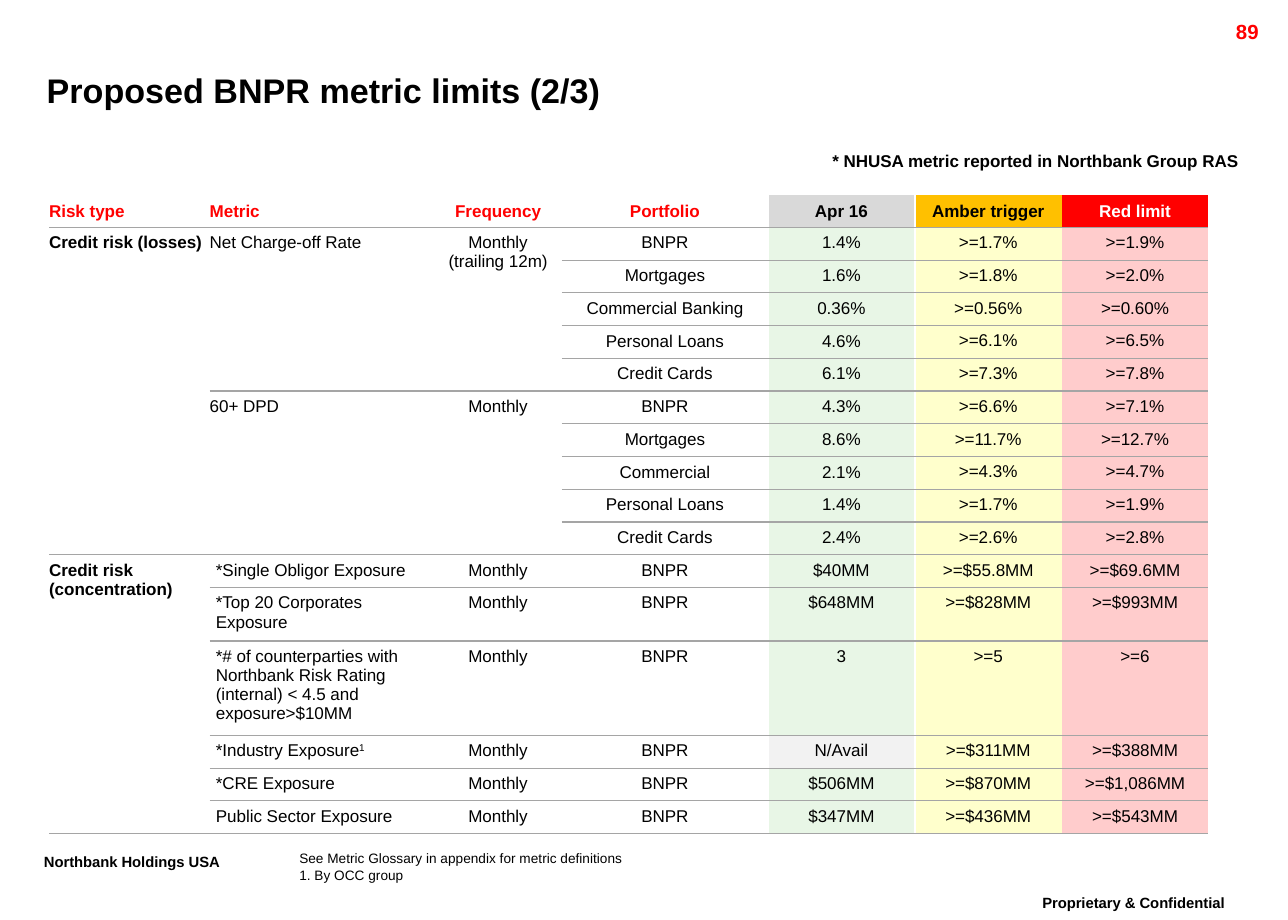
from dataclasses import dataclass

from lxml.etree import SubElement
from pptx import Presentation
from pptx.dml.color import RGBColor
from pptx.enum.text import MSO_ANCHOR, PP_ALIGN
from pptx.oxml.ns import qn
from pptx.util import Pt

COLORS = {
    "black": "000000", "white": "FFFFFF", "red": "FF0000", "amber": "FFC000",
    "silver": "D9D9D9", "rule": "A5A5A5", "green_tint": "E8F6E6",
    "yellow_tint": "FFFFCC", "red_tint": "FFCCCC", "grey_tint": "F2F2F2",
}
FONT = "Arial"
NO_STYLE = "{2D5ABB26-0587-4C30-8999-92F81FD0307C}"
TIGHT = 0.86
LEFT, CENTER, RIGHT = PP_ALIGN.LEFT, PP_ALIGN.CENTER, PP_ALIGN.RIGHT
TOP, MIDDLE, BOTTOM = MSO_ANCHOR.TOP, MSO_ANCHOR.MIDDLE, MSO_ANCHOR.BOTTOM


@dataclass
class Label:
    text: str
    left: float
    top: float
    width: float
    height: float
    size: float
    bold: bool = True
    color: str = "black"
    align: PP_ALIGN = LEFT
    anchor: MSO_ANCHOR = TOP
    spacing: float = 1.0
    inset: bool = True
    wrap: bool = True
    raised: bool = False


@dataclass
class Limit:
    portfolio: str
    actual: str
    amber: str
    red: str


@dataclass
class Metric:
    name: str
    frequency: str
    limits: list[Limit]
    height: float = 19.23
    note: str = ""


@dataclass
class Risk:
    name: str
    metrics: list[Metric]
    indent: float
    compact: bool


LABELS = [
    Label("Proprietary & Confidential", 586.8, 522, 157, 23, 15,
          align=CENTER, spacing=TIGHT, raised=True),
    Label("Northbank Holdings USA", 18.7, 497.5, 137.5, 23, 15,
          spacing=TIGHT, wrap=False, raised=True),
    Label("89", 673.9, 7.9, 72, 17.3, 12, color="red", align=RIGHT),
    Label("Proposed BNPR metric limits (2/3)", 27.4, 35.3, 682.6, 34.6, 20,
          anchor=MIDDLE, inset=False),
    Label("See Metric Glossary in appendix for metric definitions\n1. By OCC group",
          175.7, 499, 393.8, 19.4, 8, bold=False, inset=False),
    Label("* NHUSA metric reported in Northbank Group RAS", 480.5, 86.4, 254.2, 18, 10,
          align=CENTER, spacing=TIGHT, wrap=False),
]
WIDTHS = [94.3, 131.8, 74.9, 121, 86.2, 86.2, 86.2]
HEADINGS = [
    ("Risk type", "red", None), ("Metric", "red", None),
    ("Frequency", "red", None), ("Portfolio", "red", None),
    ("Apr 16", "black", "silver"), ("Amber trigger", "black", "amber"),
    ("Red limit", "white", "red"),
]
RISKS = [
    Risk("Credit risk (losses)", [
        Metric("Net Charge-off Rate", "Monthly\n(trailing 12m)", [
            Limit("BNPR", "1.4%", ">=1.7%", ">=1.9%"),
            Limit("Mortgages", "1.6%", ">=1.8%", ">=2.0%"),
            Limit("Commercial Banking", "0.36%", ">=0.56%", ">=0.60%"),
            Limit("Personal Loans", "4.6%", ">=6.1%", ">=6.5%"),
            Limit("Credit Cards", "6.1%", ">=7.3%", ">=7.8%"),
        ]),
        Metric("60+ DPD", "Monthly", [
            Limit("BNPR", "4.3%", ">=6.6%", ">=7.1%"),
            Limit("Mortgages", "8.6%", ">=11.7%", ">=12.7%"),
            Limit("Commercial", "2.1%", ">=4.3%", ">=4.7%"),
            Limit("Personal Loans", "1.4%", ">=1.7%", ">=1.9%"),
            Limit("Credit Cards", "2.4%", ">=2.6%", ">=2.8%"),
        ]),
    ], indent=0, compact=True),
    Risk("Credit risk (concentration)", [
        Metric("*Single Obligor Exposure", "Monthly",
               [Limit("BNPR", "$40MM", ">=$55.8MM", ">=$69.6MM")]),
        Metric("*Top 20 Corporates Exposure", "Monthly",
               [Limit("BNPR", "$648MM", ">=$828MM", ">=$993MM")], height=31.4),
        Metric("*# of counterparties with Northbank Risk Rating (internal) < 4.5 "
               "and exposure>$10MM", "Monthly",
               [Limit("BNPR", "3", ">=5", ">=6")], height=55.4),
        Metric("*Industry Exposure", "Monthly",
               [Limit("BNPR", "N/Avail", ">=$311MM", ">=$388MM")], note="1"),
        Metric("*CRE Exposure", "Monthly",
               [Limit("BNPR", "$506MM", ">=$870MM", ">=$1,086MM")]),
        Metric("Public Sector Exposure", "Monthly",
               [Limit("BNPR", "$347MM", ">=$436MM", ">=$543MM")]),
    ], indent=3.6, compact=False),
]


def rgb(name: str) -> RGBColor:
    return RGBColor.from_string(COLORS[name])


def format_text(tf, size: float, bold: bool, color: str, align: PP_ALIGN, spacing: float) -> None:
    for p in tf.paragraphs:
        p.alignment, p.line_spacing = align, spacing
        for r in p.runs:
            r.font.name, r.font.size, r.font.bold = FONT, Pt(size), bold
            r.font.color.rgb = rgb(color)


def raise_run(r) -> None:
    r.font._element.set("baseline", "30000")


def add_label(slide, label: Label) -> None:
    sp = slide.shapes.add_textbox(Pt(label.left), Pt(label.top), Pt(label.width), Pt(label.height))
    tf = sp.text_frame
    tf.word_wrap, tf.vertical_anchor = label.wrap, label.anchor
    if not label.inset:
        tf.margin_left = tf.margin_right = tf.margin_top = tf.margin_bottom = 0
    tf.text = label.text
    format_text(tf, label.size, label.bold, label.color, label.align, label.spacing)
    if label.raised:
        raise_run(tf.paragraphs[0].runs[0])


def add_border(cell, side: str, color: str, width: float) -> None:
    ln = SubElement(cell._tc.get_or_add_tcPr(), qn(f"a:ln{side}"), w=str(Pt(width)))
    SubElement(SubElement(ln, qn("a:solidFill")), qn("a:srgbClr"), val=COLORS[color])


def set_cell(table, row: int, col: int, text: str, fill: str | None = None, bold: bool = False,
             color: str = "black", align: PP_ALIGN = CENTER, anchor: MSO_ANCHOR = TOP,
             spacing: float = 1.0, inset: float = 3.6, left: float | None = None,
             note: str = "") -> None:
    cell = table.cell(row, col)
    if col == 4:
        add_border(cell, "L", "white", 1.5)
    if col == 3:
        add_border(cell, "R", "white", 1.5)
    if row:
        add_border(cell, "T", "rule", 0.75)
    add_border(cell, "B", "rule", 0.75)
    cell.margin_right = cell.margin_top = cell.margin_bottom = Pt(inset)
    cell.margin_left = Pt(inset if left is None else left)
    cell.vertical_anchor = anchor
    if fill:
        cell.fill.solid()
        cell.fill.fore_color.rgb = rgb(fill)
    else:
        cell.fill.background()
    cell.text_frame.text = text
    if note:
        r = cell.text_frame.paragraphs[0].add_run()
        r.text = note
        raise_run(r)
    format_text(cell.text_frame, 10, bold, color, align, spacing)


def add_limits_table(slide) -> None:
    heights = [19.23] + [m.height for k in RISKS for m in k.metrics for _ in m.limits]
    table = slide.shapes.add_table(len(heights), len(WIDTHS), Pt(28.8), Pt(114.2),
                                   Pt(sum(WIDTHS)), Pt(sum(heights))).table
    table.first_row = table.horz_banding = False
    table._tbl.tblPr.find(qn("a:tableStyleId")).text = NO_STYLE
    for column, width in zip(table.columns, WIDTHS):
        column.width = Pt(width)
    for table_row, height in zip(table.rows, heights):
        table_row.height = Pt(height)
    for col, (text, color, fill) in enumerate(HEADINGS):
        set_cell(table, 0, col, text, fill, True, color, LEFT if col < 2 else CENTER,
                 BOTTOM, TIGHT, left=0 if col < 2 else None)

    row = 1
    for risk in RISKS:
        count = sum(len(m.limits) for m in risk.metrics)
        table.cell(row, 0).merge(table.cell(row + count - 1, 0))
        set_cell(table, row, 0, risk.name, bold=True, align=LEFT, left=0)
        trigger = dict(anchor=MIDDLE, spacing=TIGHT, inset=0) if risk.compact else {}
        for metric in risk.metrics:
            last = row + len(metric.limits) - 1
            if last > row:
                for col in (1, 2):
                    table.cell(row, col).merge(table.cell(last, col))
            set_cell(table, row, 1, metric.name, align=LEFT, left=risk.indent, note=metric.note)
            set_cell(table, row, 2, metric.frequency)
            for limit in metric.limits:
                tint = "grey_tint" if limit.actual == "N/Avail" else "green_tint"
                set_cell(table, row, 3, limit.portfolio)
                set_cell(table, row, 4, limit.actual, tint)
                set_cell(table, row, 5, limit.amber, "yellow_tint", **trigger)
                set_cell(table, row, 6, limit.red, "red_tint", **trigger)
                row += 1


def main() -> None:
    prs = Presentation()
    prs.slide_width, prs.slide_height = Pt(756), Pt(540)
    slide = prs.slides.add_slide(prs.slide_layouts[6])
    add_limits_table(slide)
    for label in LABELS:
        add_label(slide, label)
    prs.save("out.pptx")


if __name__ == "__main__":
    main()
